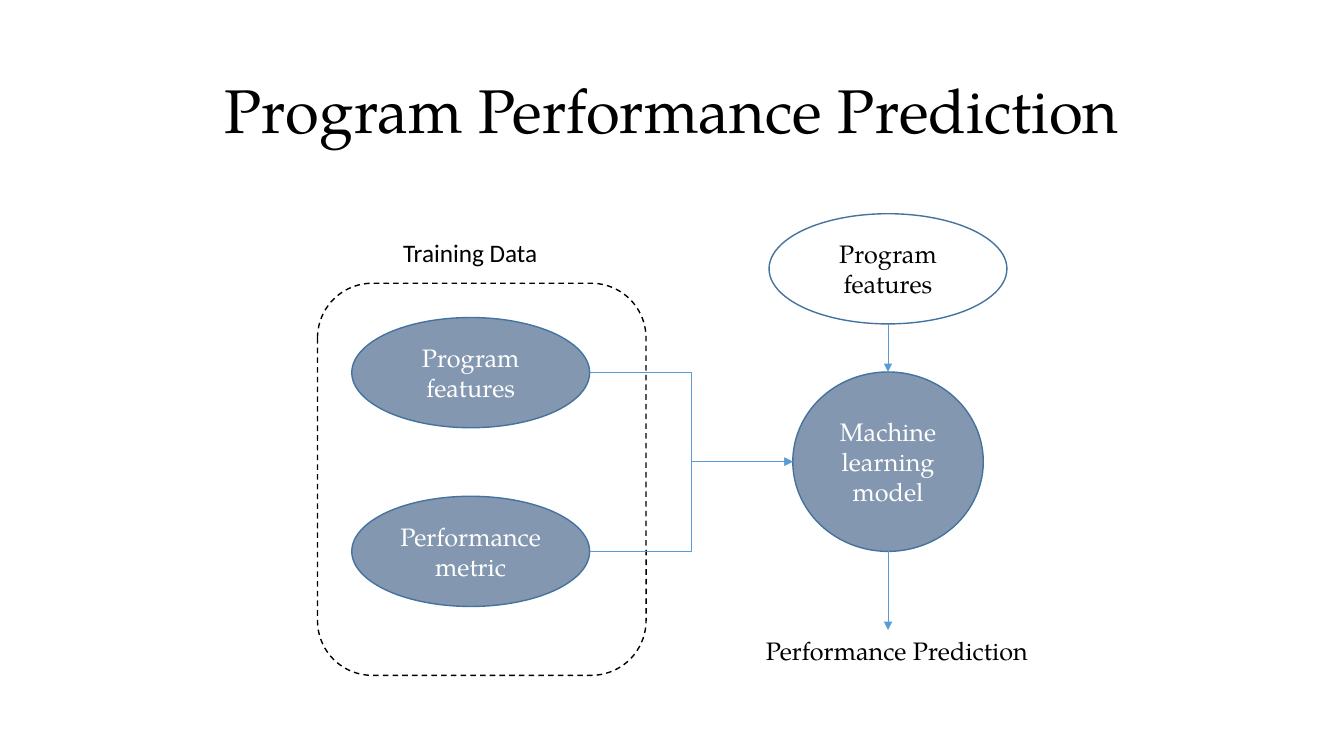
from lxml import etree
from pptx import Presentation
from pptx.dml.color import RGBColor
from pptx.enum.dml import MSO_LINE
from pptx.enum.shapes import MSO_CONNECTOR, MSO_SHAPE
from pptx.enum.text import MSO_ANCHOR, MSO_AUTO_SIZE, PP_ALIGN
from pptx.oxml.ns import qn
from pptx.util import Inches, Pt

OVAL, ROUNDED = MSO_SHAPE.OVAL, MSO_SHAPE.ROUNDED_RECTANGLE
STRAIGHT, ELBOW = MSO_CONNECTOR.STRAIGHT, MSO_CONNECTOR.ELBOW
DASH = MSO_LINE.DASH
MIDDLE, TOP = MSO_ANCHOR.MIDDLE, MSO_ANCHOR.TOP
CENTER, LEFT = PP_ALIGN.CENTER, PP_ALIGN.LEFT
GROW = MSO_AUTO_SIZE.SHAPE_TO_FIT_TEXT

COLORS = {"white": "FFFFFF", "black": "000000", "node": "8497B0",
          "outline": "43739E", "arrow": "5B9BD5"}
SERIF, SANS = "TeX Gyre Pagella", "Calibri"
CELL = Inches(1) / 12  # grid of 160 columns by 90 rows
OVAL_WIDTH, OVAL_HEIGHT = 28.32, 13.12
LABEL_HEIGHT = 4.8


def color(name):
    return RGBColor.from_string(COLORS[name])


def grid(*cells):
    return [round(cell * CELL) for cell in cells]


def within(box, left, top, width, height):
    return box[0] + left, box[1] + top, width, height


def write(frame, text, size=18, font=SERIF, ink="black", align=LEFT, anchor=TOP):
    frame.vertical_anchor = anchor
    para = frame.paragraphs[0]
    para.alignment = align
    span = para.add_run()
    span.text = text
    span.font.size = Pt(size)
    span.font.name = font
    span.font.color.rgb = color(ink)
    return para


def add_outline(page, kind, box, line):
    shape = page.shapes.add_shape(kind, *grid(*box))
    shape.shadow.inherit = False
    shape.fill.background()
    shape.line.color.rgb = color(line)
    shape.line.width = Pt(1)
    return shape


def add_oval(page, box, text, fill="node", ink="white"):
    oval = add_outline(page, OVAL, box, "outline")
    oval.fill.solid()
    oval.fill.fore_color.rgb = color(fill)
    oval.text_frame.word_wrap = True
    write(oval.text_frame, text, ink=ink, align=CENTER, anchor=MIDDLE)
    return oval


def add_label(page, box, text, font=SERIF, wrap=True):
    label = page.shapes.add_textbox(*grid(*box))
    label.text_frame.word_wrap = wrap
    label.text_frame.auto_size = GROW
    write(label.text_frame, text, font=font)
    return label


def add_arrow(page, kind, start, end):
    arrow = page.shapes.add_connector(kind, *start, *end)
    arrow.line.color.rgb = color("arrow")
    arrow.line.width = Pt(0.5)
    tail = etree.SubElement(arrow.line._get_or_add_ln(), qn("a:tailEnd"))
    tail.set("type", "triangle")
    etree.SubElement(arrow._element.spPr, qn("a:effectLst"))


def edge(shape, across, down):
    """Point at the given shares of a shape's width and height."""
    return (round(shape.left + shape.width * across),
            round(shape.top + shape.height * down))


def build_title(page, box):
    title = page.shapes.title
    title.left, title.top, title.width, title.height = grid(*box)
    para = write(title.text_frame, "Program Performance Prediction",
                 size=44, align=CENTER, anchor=MIDDLE)
    para.line_spacing = 0.9


def build_training_data(page, box):
    margin, pitch = 4.08, 21.28
    ovals = [add_oval(page, within(box, margin, margin + row * pitch,
                                   OVAL_WIDTH, OVAL_HEIGHT), text)
             for row, text in enumerate(("Program features", "Performance metric"))]
    add_label(page, within(box, 9, -6, 21.72, LABEL_HEIGHT), "Training Data", font=SANS)
    frame = add_outline(page, ROUNDED, box, "black")
    frame.line.dash_style = DASH
    return ovals


def build_prediction(page, box):
    model = add_oval(page, within(box, 4.38, 18.84, 22.68, 21.36),
                     "Machine learning model")
    features = add_oval(page, within(box, 1.56, 0, OVAL_WIDTH, OVAL_HEIGHT),
                        "Program features", fill="white", ink="black")
    label_top = box[3] - LABEL_HEIGHT
    label = add_label(page, within(box, 0, label_top, box[2], LABEL_HEIGHT),
                      "Performance Prediction", wrap=False)
    # Flow from the features through the model to the prediction
    add_arrow(page, STRAIGHT, edge(features, 0.5, 1), edge(model, 0.5, 0))
    below = edge(model, 0.5, 1)
    add_arrow(page, STRAIGHT, below, (below[0], label.top))
    return model


deck = Presentation()
deck.slide_width, deck.slide_height = grid(160, 90)
page = deck.slides.add_slide(deck.slide_layouts[5])
page.background.fill.solid()
page.background.fill.fore_color.rgb = color("white")

build_title(page, (11, 4.8, 138, 17.4))
training_ovals = build_training_data(page, (37.8, 33.72, 39.12, 46.68))
model = build_prediction(page, (90, 25.44, 34.08, 54.36))

# Both kinds of training data feed the model
for oval in training_ovals:
    add_arrow(page, ELBOW, edge(oval, 1, 0.5), edge(model, 0, 0.5))

deck.save("out.pptx")
